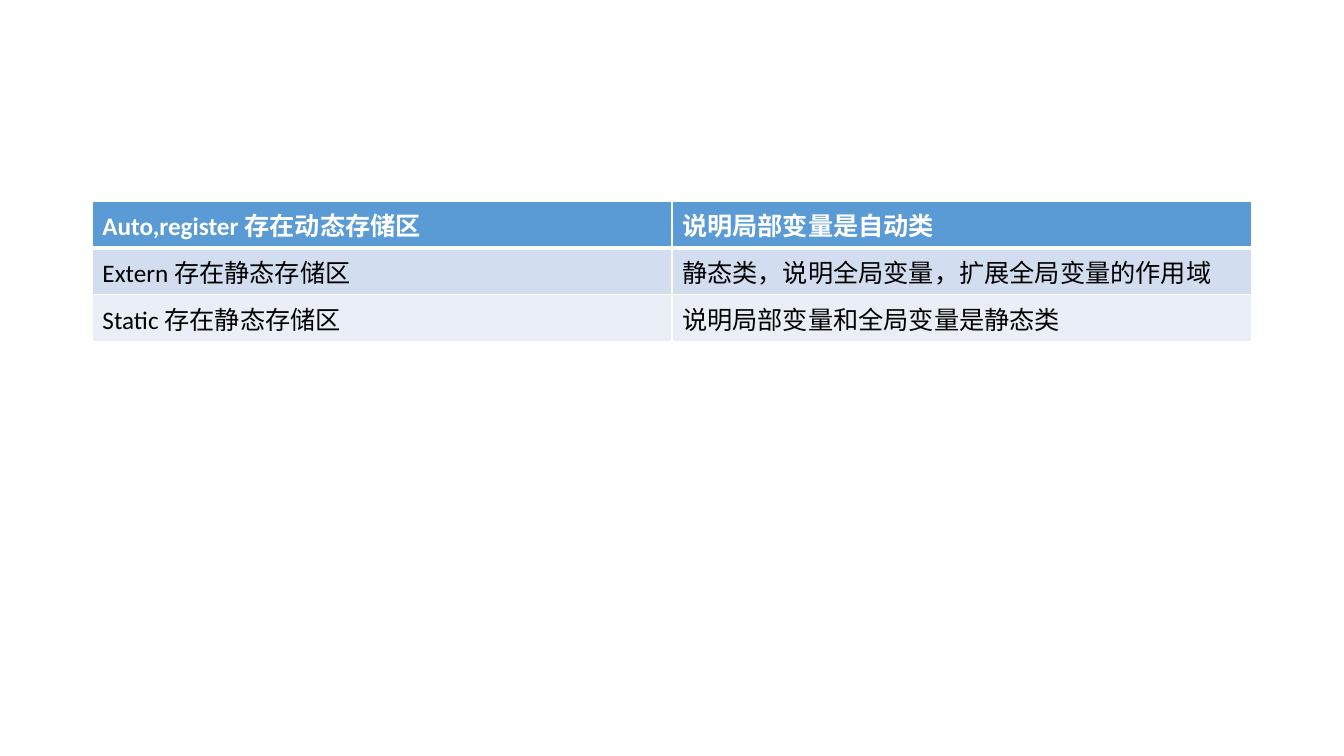
import dataclasses

import lxml.etree
import pptx
import pptx.dml.color
import pptx.oxml.ns
import pptx.util

PX = 9525  # EMU per px, 96 px to the inch

ROWS = (
    ("Auto,register 存在动态存储区", "说明局部变量是自动类"),
    ("Extern 存在静态存储区", "静态类，说明全局变量，扩展全局变量的作用域"),
    ("Static 存在静态存储区", "说明局部变量和全局变量是静态类"),
)


@dataclasses.dataclass(frozen=True)
class Theme:
    font: str = "Calibri"
    size: int = 18
    head: str = "5B9BD5"
    bands: tuple = ("D2DEEF", "EAEFF7")
    light: str = "FFFFFF"
    dark: str = "000000"
    thin: int = 1
    thick: int = 3


THEME = Theme()


def px(count):
    return pptx.util.Emu(count * PX)


def rgb(code):
    return pptx.dml.color.RGBColor.from_string(code)


def add_edge(cell, side, width):
    """Draw one border; side is L, R, T or B and width is in points."""
    qn = pptx.oxml.ns.qn
    props = cell._tc.get_or_add_tcPr()
    line = lxml.etree.SubElement(
        props, qn(f"a:ln{side}"), w=str(int(pptx.util.Pt(width))))
    fill = lxml.etree.SubElement(line, qn("a:solidFill"))
    lxml.etree.SubElement(fill, qn("a:srgbClr"), val=THEME.light)


def set_font(font, color, bold):
    values = {
        "name": THEME.font,
        "size": pptx.util.Pt(THEME.size),
        "bold": bold,
    }
    for name, value in values.items():
        setattr(font, name, value)
    font.color.rgb = rgb(color)


def fill_cell(cell, text, row):
    head = row == 0
    edges = {
        "L": THEME.thin,
        "R": THEME.thin,
        "T": THEME.thick if row == 1 else THEME.thin,
        "B": THEME.thick if head else THEME.thin,
    }
    # Borders must come before the fill in the cell's XML
    for side, width in edges.items():
        add_edge(cell, side, width)
    cell.fill.solid()
    band = THEME.bands[(row - 1) % len(THEME.bands)]
    cell.fill.fore_color.rgb = rgb(THEME.head if head else band)
    run = cell.text_frame.paragraphs[0].add_run()
    run.text = text
    set_font(run.font, THEME.light if head else THEME.dark, head)


def add_grid(slide, rows, left, top, width, pitch):
    """Add a table whose rows are each pitch px high."""
    frame = slide.shapes.add_table(
        len(rows), len(rows[0]),
        px(left), px(top), px(width), px(pitch * len(rows)))
    for row, texts in enumerate(rows):
        for col, text in enumerate(texts):
            fill_cell(frame.table.cell(row, col), text, row)


def main():
    deck = pptx.Presentation()
    deck.slide_width, deck.slide_height = px(1280), px(720)
    slide = deck.slides.add_slide(deck.slide_layouts[6])
    add_grid(slide, ROWS, left=88, top=192, width=1104, pitch=39)
    deck.save("out.pptx")


if __name__ == "__main__":
    main()
